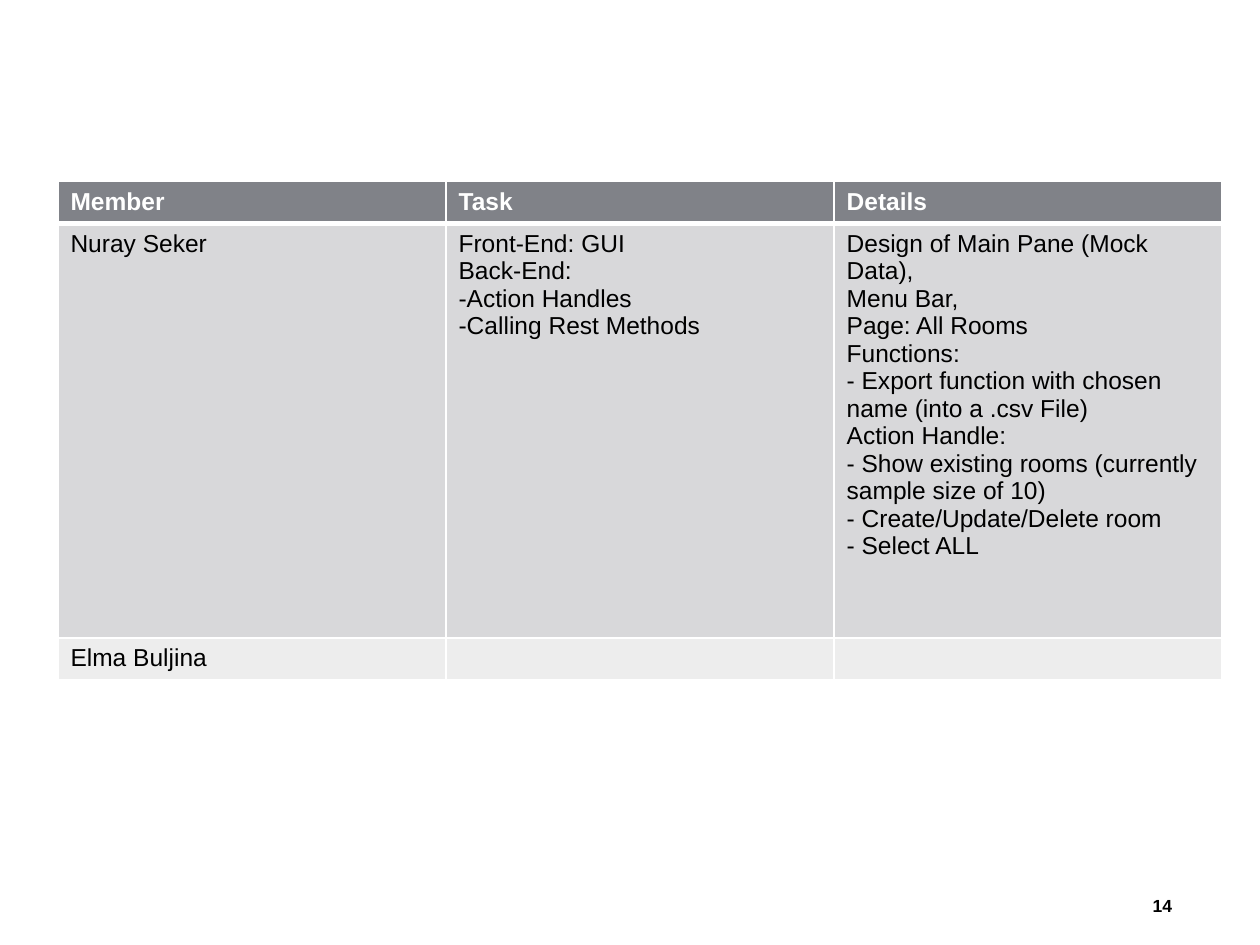
from dataclasses import dataclass

from lxml import etree
from pptx import Presentation
from pptx.dml.color import RGBColor
from pptx.enum.text import MSO_ANCHOR, PP_ALIGN
from pptx.oxml.ns import qn
from pptx.util import Inches, Pt

RIGHT = PP_ALIGN.RIGHT
MIDDLE = MSO_ANCHOR.MIDDLE
WIDTH, HEIGHT = Inches(10), Inches(7.5)
BLANK = 6


@dataclass(frozen=True)
class Theme:
    font: str = "Arial"
    white: str = "FFFFFF"
    black: str = "000000"
    row_fills: tuple = ("808288", "D8D8DA", "EDEDED")
    table_size: int = 14
    number_size: int = 10
    thin: int = 1
    thick: int = 3


THEME = Theme()
LEFT, TOP = Inches(0.46), Inches(1.44)
COLUMN = Inches(3.08)
ROWS = [Inches(0.3), Inches(3.29), Inches(0.3)]

TASKS = [
    ["Member", "Task", "Details"],
    [
        "Nuray Seker",
        ["Front-End: GUI", "Back-End:", "-Action Handles", "-Calling Rest Methods"],
        [
            "Design of Main Pane (Mock Data),",
            "Menu Bar,",
            "Page: All Rooms\nFunctions:",
            "- Export function with chosen name (into a .csv File)",
            "Action Handle:",
            "- Show existing rooms (currently sample size of 10)",
            "- Create/Update/Delete room",
            "- Select ALL",
        ],
    ],
    ["Elma Buljina", "", ""],
]


def write(tf, content, size, color, bold):
    lines = [content] if isinstance(content, str) else content
    style = {"name": THEME.font, "size": Pt(size), "bold": bold}
    for i, line in enumerate(lines):
        p = tf.add_paragraph() if i else tf.paragraphs[0]
        p.text = line
        for r in p.runs:
            for key, value in style.items():
                setattr(r.font, key, value)
            r.font.color.rgb = RGBColor.from_string(color)
        for br in p._p.findall(qn("a:br")):
            etree.SubElement(br, qn("a:rPr"), sz=str(size * 100))
        if not line:
            etree.SubElement(p._p, qn("a:endParaRPr"), sz=str(size * 100))


def set_borders(cell, widths):
    tc_pr = cell._tc.get_or_add_tcPr()
    for i, (side, width) in enumerate(widths.items()):
        ln = etree.Element(qn(f"a:ln{side}"), w=str(Pt(width)))
        fill = etree.SubElement(ln, qn("a:solidFill"))
        etree.SubElement(fill, qn("a:srgbClr"), val=THEME.white)
        tc_pr.insert(i, ln)


def add_task_table(s):
    cols = len(TASKS[0])
    frame = s.shapes.add_table(len(ROWS), cols, LEFT, TOP, COLUMN * cols, sum(ROWS))
    table = frame.table
    for column in table.columns:
        column.width = COLUMN
    for i, (height, contents) in enumerate(zip(ROWS, TASKS)):
        table.rows[i].height = height
        header = i == 0
        widths = dict.fromkeys("LRTB", THEME.thin)
        if header:
            widths["B"] = THEME.thick
        elif i == 1:
            widths["T"] = THEME.thick
        for j, content in enumerate(contents):
            cell = table.cell(i, j)
            cell.fill.solid()
            cell.fill.fore_color.rgb = RGBColor.from_string(THEME.row_fills[i])
            set_borders(cell, widths)
            color = THEME.white if header else THEME.black
            write(cell.text_frame, content, THEME.table_size, color, header)


def add_page_number(s, number):
    sp = s.shapes.add_textbox(Inches(8.84), Inches(6.99), Inches(0.56), Inches(0.4))
    tf = sp.text_frame
    tf.word_wrap = True
    tf.vertical_anchor = MIDDLE
    write(tf, number, THEME.number_size, THEME.black, True)
    tf.paragraphs[0].alignment = RIGHT


def main():
    prs = Presentation()
    prs.slide_width, prs.slide_height = WIDTH, HEIGHT
    s = prs.slides.add_slide(prs.slide_layouts[BLANK])
    add_page_number(s, "14")
    add_task_table(s)
    prs.save("out.pptx")


if __name__ == "__main__":
    main()
